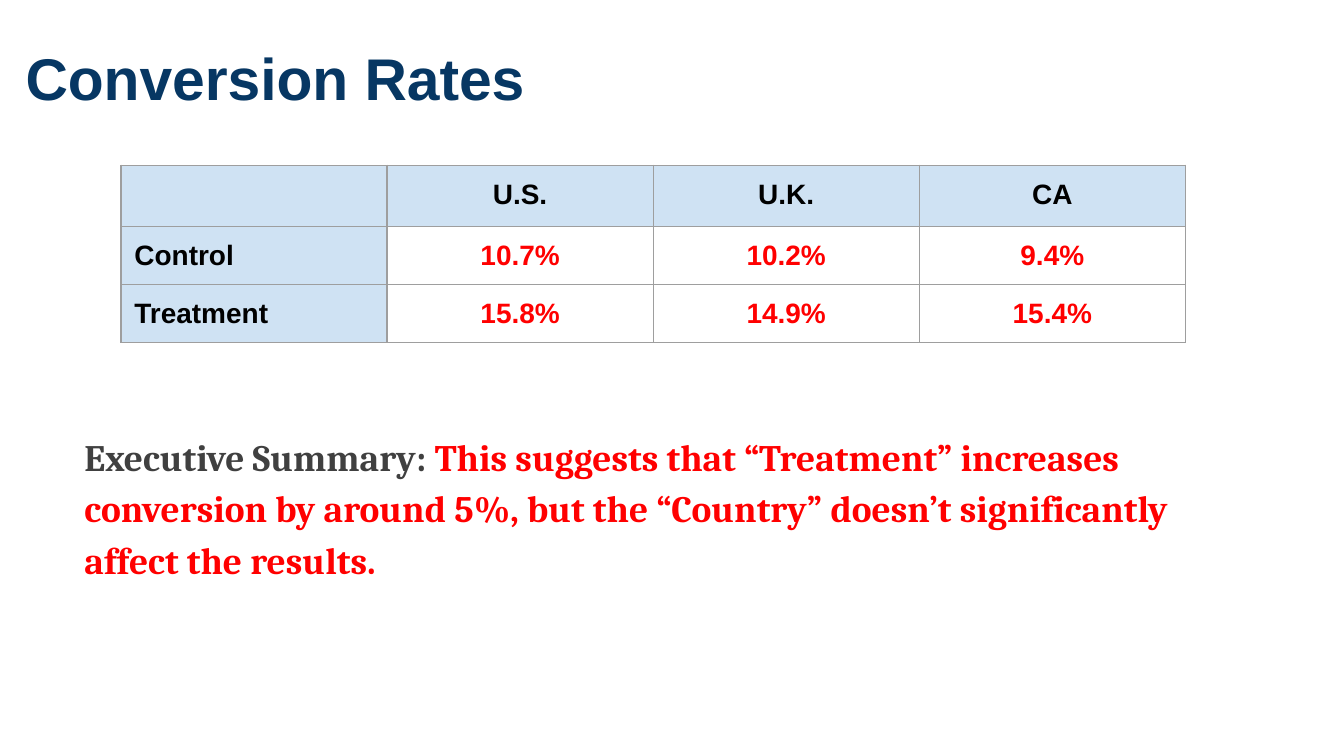
import pptx
import pptx.dml.color
import pptx.enum.text
import pptx.oxml.ns
import pptx.util
from lxml import etree

Inches, Pt = pptx.util.Inches, pptx.util.Pt
ALIGN = pptx.enum.text.PP_ALIGN
COLORS = {
    "title": "073763", "header": "CFE2F3", "body": "FFFFFF", "border": "9E9E9E",
    "label": "000000", "value": "FF0000", "lead": "404040",
}
RATES = [
    ["", "U.S.", "U.K.", "CA"],
    ["Control", "10.7%", "10.2%", "9.4%"],
    ["Treatment", "15.8%", "14.9%", "15.4%"],
]


def rgb(name):
    return pptx.dml.color.RGBColor.from_string(COLORS[name])


def add_run(p, text, color, size, name="Arial"):
    r = p.add_run()
    r.text = text
    for key, value in {"name": name, "size": Pt(size), "bold": True}.items():
        setattr(r.font, key, value)
    r.font.color.rgb = rgb(color)


def set_margins(target):
    """Give a text frame or a table cell equal margins."""
    for side in ("left", "top", "right", "bottom"):
        setattr(target, f"margin_{side}", Inches(0.1))


def set_frame(tf):
    set_margins(tf)
    tf.word_wrap = True
    tf.auto_size = pptx.enum.text.MSO_AUTO_SIZE.NONE
    tf.vertical_anchor = pptx.enum.text.MSO_ANCHOR.TOP


def set_borders(cell):
    tc_pr = cell._tc.get_or_add_tcPr()
    qn = pptx.oxml.ns.qn
    for i, side in enumerate(("lnL", "lnR", "lnT", "lnB")):
        ln = etree.Element(qn(f"a:{side}"), w=str(Pt(0.75)))
        fill = etree.SubElement(ln, qn("a:solidFill"))
        etree.SubElement(fill, qn("a:srgbClr"), val=COLORS["border"])
        tc_pr.insert(i, ln)


def place_title(s, box):
    sp = s.shapes.title
    sp.left, sp.top, sp.width, sp.height = map(Inches, box)
    set_frame(sp.text_frame)
    p = sp.text_frame.paragraphs[0]
    p.alignment = ALIGN.LEFT
    add_run(p, "Conversion Rates", "title", 31.5)


def add_rates_table(s, box):
    size = 15
    frame = s.shapes.add_table(len(RATES), len(RATES[0]), *map(Inches, box))
    table = frame.table
    table.horz_banding = False
    for row in table.rows:
        row.height = Inches(0.42)
    frame.height = Inches(box[3])
    for i, row in enumerate(RATES):
        for j, text in enumerate(row):
            cell = table.cell(i, j)
            is_label = i == 0 or j == 0
            cell.fill.solid()
            cell.fill.fore_color.rgb = rgb("header" if is_label else "body")
            set_margins(cell)
            set_borders(cell)
            p = cell.text_frame.paragraphs[0]
            p.alignment = ALIGN.CENTER if j else ALIGN.LEFT
            if text:
                add_run(p, text, "label" if is_label else "value", size)
            else:
                # An empty cell takes its line height from the end mark
                etree.SubElement(p._p, pptx.oxml.ns.qn("a:endParaRPr"), sz=str(size * 100))


def add_summary(s, box):
    tf = s.shapes.add_textbox(*map(Inches, box)).text_frame
    set_frame(tf)
    p = tf.paragraphs[0]
    p.line_spacing = 1.15
    add_run(p, "Executive Summary: ", "lead", 20, "Cambria")
    add_run(p, "This suggests that “Treatment” increases conversion by around 5%, "
               "but the “Country” doesn’t significantly affect the results.",
            "value", 20, "Cambria")


def main():
    prs = pptx.Presentation()
    prs.slide_width = Inches(10)
    prs.slide_height = prs.slide_width * 9 // 16
    s = prs.slides.add_slide(prs.slide_layouts.get_by_name("Title Only"))
    place_title(s, (0.09, 0.21, 10, 0.73))
    add_rates_table(s, (0.9, 1.23, 7.92, 1.35))
    add_summary(s, (0.53, 3.08, 8.98, 1.36))
    prs.save("out.pptx")


if __name__ == "__main__":
    main()
